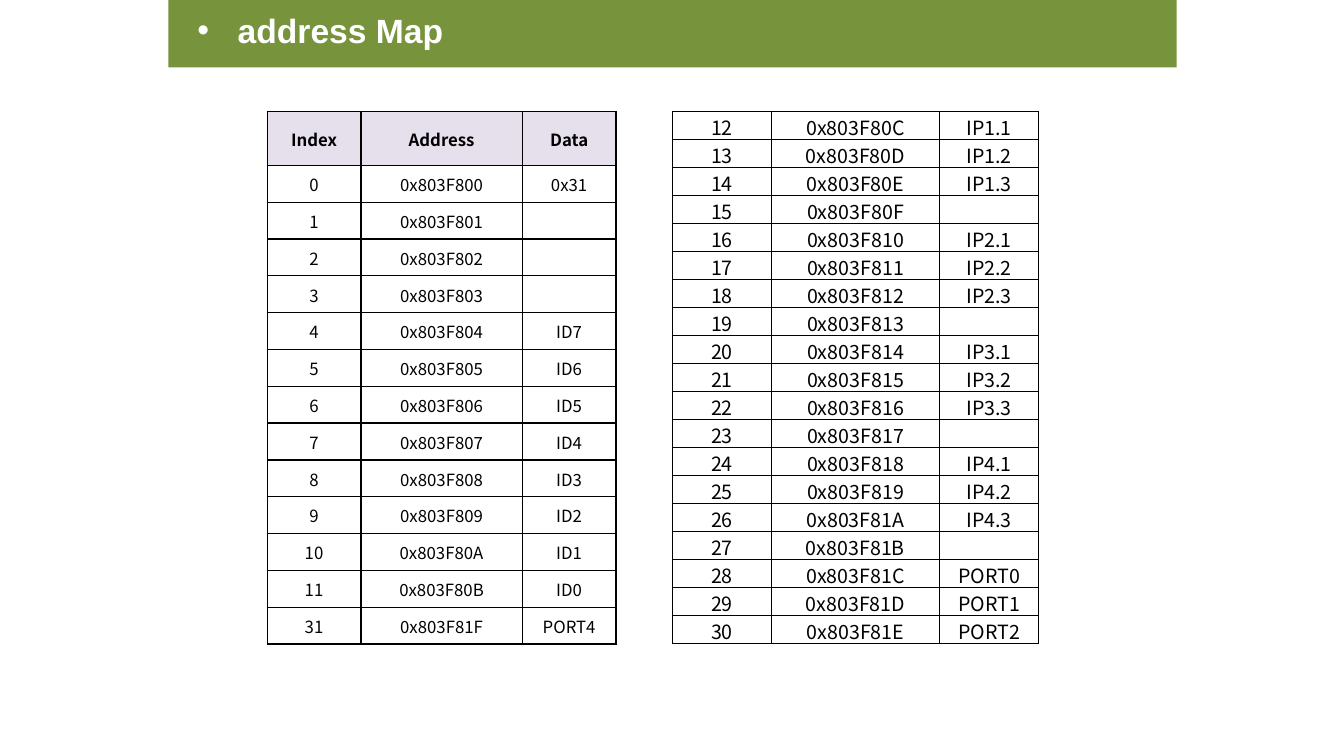
from lxml.etree import SubElement
from pptx import Presentation
from pptx.dml.color import RGBColor
from pptx.enum.shapes import MSO_SHAPE
from pptx.enum.text import MSO_ANCHOR, MSO_AUTO_SIZE, PP_ALIGN
from pptx.oxml.ns import qn
from pptx.util import Pt

EMU_PER_PX = 9144
COLORS = {"banner": "77933C", "title": "FFFFFF", "header": "E6E0EC", "ink": "000000"}
TITLE_FONT = "Arial"
TABLE_FONT = "Noto Sans CJK KR"
BASE_ADDRESS = 0x803F800
HEADINGS = ["Index", "Address", "Data"]
ID_DATA = ["0x31", "", "", ""] + [f"ID{n}" for n in range(7, -1, -1)]
IP_DATA = [f"IP{group}.{part}" if part < 4 else ""
           for group in range(1, 5) for part in range(1, 5)]
PORT_DATA = [f"PORT{n}" for n in range(3)]


def px(length):
    return round(length * EMU_PER_PX)


def color(name):
    return RGBColor.from_string(COLORS[name])


def set_font(paragraph, name, size, ink, bold):
    font = paragraph.font
    font.name, font.size, font.bold = name, Pt(size), bold
    font.color.rgb = color(ink)


def address_row(index, data):
    return [str(index), f"0x{BASE_ADDRESS + index:X}", data]


def add_border(cell):
    properties = cell._tc.get_or_add_tcPr()
    for side in ("lnL", "lnR", "lnT", "lnB"):
        line = SubElement(properties, qn(f"a:{side}"), w=str(Pt(1)))
        fill = SubElement(line, qn("a:solidFill"))
        SubElement(fill, qn("a:srgbClr"), val=COLORS["ink"])


def fill_cell(cell, content, size, is_header):
    add_border(cell)
    if is_header:
        cell.fill.solid()
        cell.fill.fore_color.rgb = color("header")
    else:
        cell.fill.background()
    cell.margin_left = cell.margin_right = cell.margin_top = px(1)
    cell.margin_bottom = 0
    cell.vertical_anchor = MSO_ANCHOR.MIDDLE
    paragraph = cell.text_frame.paragraphs[0]
    paragraph.alignment = PP_ALIGN.CENTER
    set_font(paragraph, TABLE_FONT, size, "ink", is_header)
    if content:
        paragraph.text = content
    else:
        SubElement(paragraph._p, qn("a:endParaRPr"), sz=str(size * 100))


def add_banner(slide, left, top, width, height):
    banner = slide.shapes.add_shape(
        MSO_SHAPE.RECTANGLE, px(left), px(top), px(width), px(height))
    banner.shadow.inherit = False
    banner.fill.solid()
    banner.fill.fore_color.rgb = color("banner")
    banner.line.fill.background()

    title = slide.shapes.add_textbox(px(left + 19), px(top + 8), px(267), px(50))
    title.text_frame.word_wrap = False
    title.text_frame.auto_size = MSO_AUTO_SIZE.SHAPE_TO_FIT_TEXT
    heading = title.text_frame.paragraphs[0]
    heading.text = "address Map"
    properties = heading._p.get_or_add_pPr()
    properties.set("marL", str(px(40)))
    properties.set("indent", str(px(-40)))
    SubElement(properties, qn("a:buFont"), typeface=TITLE_FONT)
    SubElement(properties, qn("a:buChar"), char="•")
    set_font(heading, TITLE_FONT, 24, "title", True)


def add_address_table(slide, left, top, height, columns, rows, size, header_height=0):
    table = slide.shapes.add_table(
        len(rows), len(columns), px(left), px(top), px(sum(columns)), px(height)).table
    table.first_row = table.horz_banding = False
    for column, width in zip(table.columns, columns):
        column.width = px(width)
    body_count = len(rows) - bool(header_height)
    body_height = (height - header_height) / body_count
    for r, contents in enumerate(rows):
        is_header = r == 0 and header_height > 0
        table.rows[r].height = px(header_height if is_header else body_height)
        for c, content in enumerate(contents):
            fill_cell(table.cell(r, c), content, size, is_header)


def build_address_map(slide, left, top, width):
    add_banner(slide, left, top, width, 70)
    first_rows = [address_row(i, data) for i, data in enumerate(ID_DATA)]
    first_rows = [HEADINGS, *first_rows, address_row(31, "PORT4")]
    second_rows = [address_row(i, data)
                   for i, data in enumerate(IP_DATA + PORT_DATA, len(ID_DATA))]
    add_address_table(slide, left + 98, top + 114, 528, [93, 160, 93], first_rows, 12, 53)
    add_address_table(slide, left + 500, top + 114, 528, [98, 167, 98], second_rows, 14)


def main():
    deck = Presentation()
    deck.slide_width, deck.slide_height = px(1333), px(750)
    slide = deck.slides.add_slide(deck.slide_layouts[6])
    build_address_map(slide, 167, -3, 1000)
    deck.save("out.pptx")


if __name__ == "__main__":
    main()
